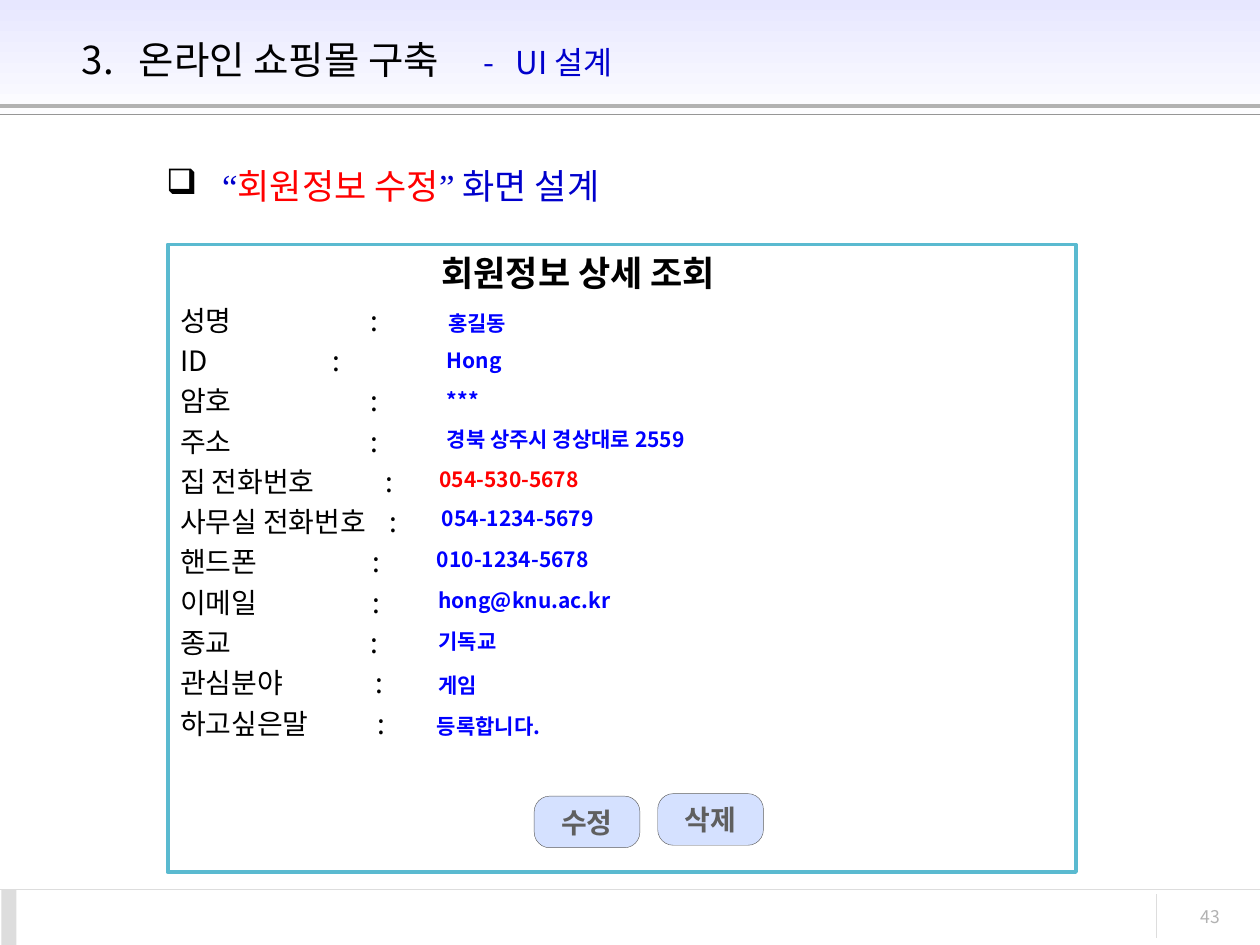
"""Build the member details screen design slide."""
from pptx import Presentation
from pptx.dml.color import RGBColor
from pptx.enum.shapes import MSO_CONNECTOR, MSO_SHAPE
from pptx.enum.text import MSO_ANCHOR, PP_ALIGN
from pptx.oxml.ns import qn
from pptx.util import Cm, Pt
from lxml.etree import SubElement

BLACK = RGBColor(0, 0, 0)
WHITE = RGBColor(255, 255, 255)
LILAC = RGBColor(0xE7, 0xE7, 0xFF)
NAVY = RGBColor(0, 0, 0xCC)
BLUE = RGBColor(0, 0, 0xFF)
RED = RGBColor(0xFF, 0, 0)
TEAL = RGBColor(0x5A, 0xBA, 0xD0)
SKY = RGBColor(0xD5, 0xE1, 0xFF)
DARK = RGBColor(0x5F, 0x5F, 0x5F)
MID = RGBColor(0x96, 0x96, 0x96)
GREY = RGBColor(0xB2, 0xB2, 0xB2)
PALE = RGBColor(0xDD, 0xDD, 0xDD)
SANS = "Noto Sans CJK KR"
SERIF = "Times New Roman"

FIELDS = [
    ("성명", 3.84), ("ID", 3.07), ("암호", 3.84), ("주소", 3.84),
    ("집 전화번호", 4.14), ("사무실 전화번호", 4.22), ("핸드폰", 3.89),
    ("이메일", 3.89), ("종교", 3.84), ("관심분야", 3.94), ("하고싶은말", 3.99),
]
VALUES = [
    ("홍길동", 8.79, 6.25, BLUE), ("Hong", 8.76, 6.99, BLUE),
    ("***", 8.76, 7.8, BLUE), ("경북 상주시 경상대로 2559", 8.76, 8.59, BLUE),
    ("054-530-5678", 8.61, 9.4, RED), ("054-1234-5679", 8.66, 10.19, BLUE),
    ("010-1234-5678", 8.56, 11, BLUE), ("hong@knu.ac.kr", 8.59, 11.84, BLUE),
    ("기독교", 8.59, 12.67, BLUE), ("게임", 8.59, 13.54, BLUE),
]


class Board:
    """Hold the style and the current slide."""

    def __init__(self, slide, face=SANS):
        self.shapes = slide.shapes
        self.face = face

    def line(self, x, y, right, low, color, width):
        rule = self.shapes.add_connector(
            MSO_CONNECTOR.STRAIGHT, Cm(x), Cm(y), Cm(right), Cm(low))
        rule.line.color.rgb = color
        rule.line.width = Pt(width)
        SubElement(rule._element.spPr, qn("a:effectLst"))

    def panel(self, area, fill, edge=None, width=1, kind=MSO_SHAPE.RECTANGLE):
        shape = self.shapes.add_shape(kind, *map(Cm, area))
        shape.shadow.inherit = False
        shape.fill.solid()
        shape.fill.fore_color.rgb = fill
        if edge is None:
            shape.line.fill.background()
        else:
            shape.line.color.rgb = edge
            shape.line.width = Pt(width)
        return shape

    def fade(self, area, top, low):
        shape = self.panel(area, top)
        shape.fill.gradient()
        shape.fill.gradient_angle = 270
        for stop, color in zip(shape.fill.gradient_stops, (top, low)):
            stop.color.rgb = color

    def frame(self, shape, anchor=MSO_ANCHOR.MIDDLE, wrap=False):
        frame = shape.text_frame
        frame.word_wrap = wrap
        frame.vertical_anchor = anchor
        return frame

    def style(self, para, parts, align=PP_ALIGN.LEFT, stops=(), mark=None):
        para.alignment = align
        props = para._p.get_or_add_pPr()
        if mark:
            props.set("marL", str(Cm(0.97)))
            props.set("indent", str(-Cm(0.97)))
            tint = SubElement(props, qn("a:buClr"))
            SubElement(tint, qn("a:srgbClr"), val=str(BLACK))
            SubElement(props, qn("a:buChar"), char=mark)
        if stops:
            tabs = SubElement(props, qn("a:tabLst"))
            for stop in stops:
                SubElement(tabs, qn("a:tab"), pos=str(Cm(stop)), algn="l")
        for text, size, color, bold, *face in parts:
            run = para.add_run()
            run.text = text
            font = run.font
            font.size = Pt(size)
            font.bold = bold
            font.color.rgb = color
            font.name = face[0] if face else self.face
            SubElement(run._r.rPr, qn("a:ea"), typeface=font.name)

    def text(self, area, parts, anchor=MSO_ANCHOR.MIDDLE, wrap=False, **look):
        box = self.shapes.add_textbox(*map(Cm, area))
        para = self.frame(box, anchor, wrap).paragraphs[0]
        self.style(para, parts, **look)
        return para

    def button(self, x, y, label):
        shape = self.panel((x, y, 2.13, 1.04), SKY, DARK, 0.25,
                           MSO_SHAPE.ROUNDED_RECTANGLE)
        shape.adjustments[0] = 0.3
        para = self.frame(shape).paragraphs[0]
        self.style(para, [(label, 16, DARK, True)], PP_ALIGN.CENTER)

    def form(self, area, fields):
        shape = self.panel(area, WHITE, TEAL, 2.25)
        frame = self.frame(shape, MSO_ANCHOR.TOP, True)
        frame.margin_top = Cm(1.05)
        for num, (label, stop) in enumerate(fields):
            para = frame.add_paragraph() if num else frame.paragraphs[0]
            para.line_spacing = 1.2
            self.style(para, [(label + "\t:", 16, BLACK, False)], stops=[stop])


def main():
    deck = Presentation()
    deck.slide_width, deck.slide_height = Cm(25.4), Cm(19.05)
    board = Board(deck.slides.add_slide(deck.slide_layouts[6]))

    board.fade((0, 0, 25.4, 2.54), LILAC, WHITE)
    board.line(0, 2.13, 25.4, 2.13, GREY, 2.25)
    board.line(0, 2.31, 25.4, 2.31, MID, 0.75)
    board.line(0, 17.93, 25.4, 17.93, PALE, 0.75)
    board.panel((0.03, 17.93, 0.3, 1.12), PALE)
    board.line(23.32, 18.03, 23.32, 18.9, PALE, 0.75)
    board.text((22.5, 18.14, 2.34, 0.84), [("43", 10, GREY, False)],
               MSO_ANCHOR.TOP, True, align=PP_ALIGN.RIGHT)

    board.text((1.4, 0.33, 21.92, 1.73),
               [("3.\t온라인 쇼핑몰 구축", 22, BLACK, False),
                ("\t-\tUI 설계", 18, NAVY, False)],
               wrap=True, stops=[1.15, 8.1, 8.74])
    head = board.text((3.1, 3.2, 16.33, 2.08),
                      [(" ", 20, NAVY, False), ("“", 20, NAVY, False, SERIF),
                       ("회원정보 수정", 20, RED, False),
                       ("”", 20, NAVY, False, SERIF),
                       (" 화면 설계", 20, NAVY, False)],
                      MSO_ANCHOR.TOP, True, mark="❑")
    head.space_after = Pt(15)

    board.form((3.38, 4.93, 18.31, 12.65), FIELDS)
    board.text((8.61, 4.95, 6.1, 1.12),
               [("회원정보 상세 조회", 20, BLACK, True)],
               MSO_ANCHOR.TOP, align=PP_ALIGN.CENTER)
    for value, x, y, color in VALUES:
        board.text((x, y, 5.31, 0.53), [(value, 12, color, True)])
    board.text((8.56, 14.25, 11.23, 1.7), [("등록합니다.", 12, BLUE, True)],
               MSO_ANCHOR.TOP)
    board.button(10.77, 16.05, "수정")
    board.button(13.26, 16, "삭제")
    deck.save("out.pptx")


if __name__ == "__main__":
    main()
